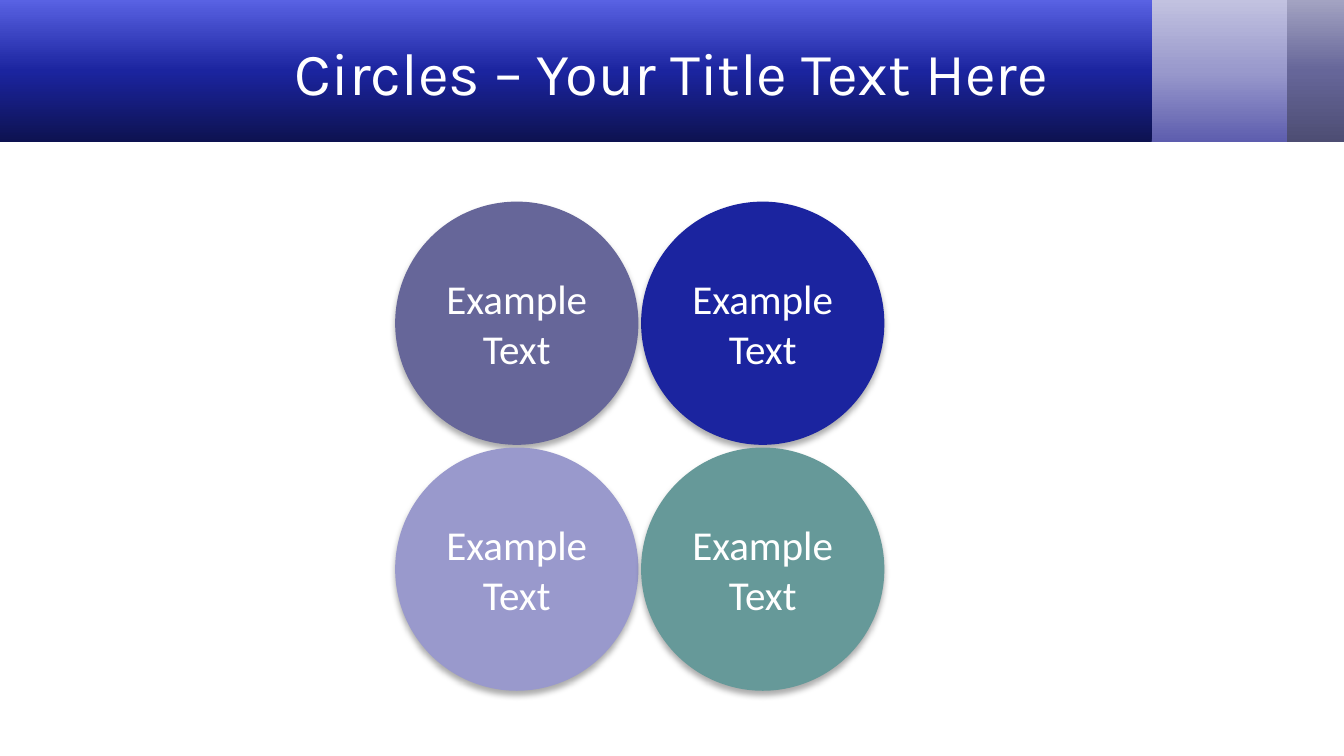
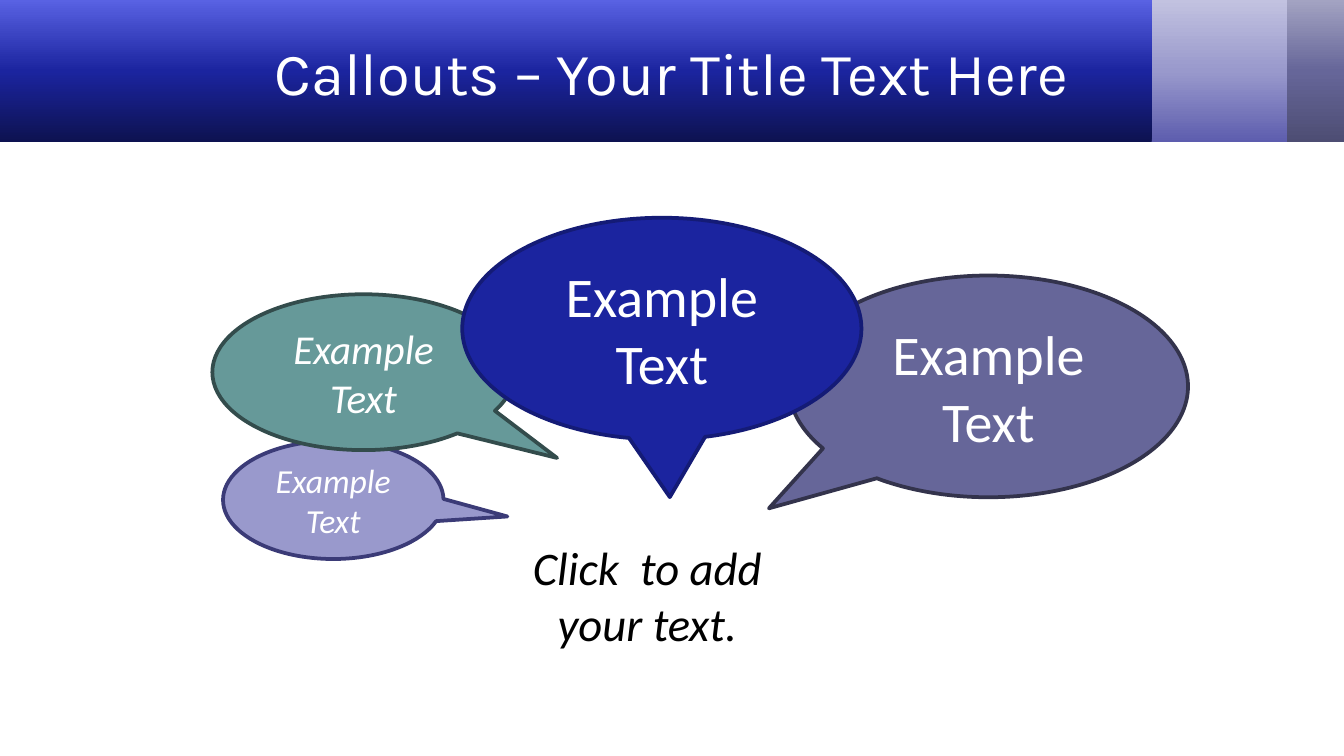
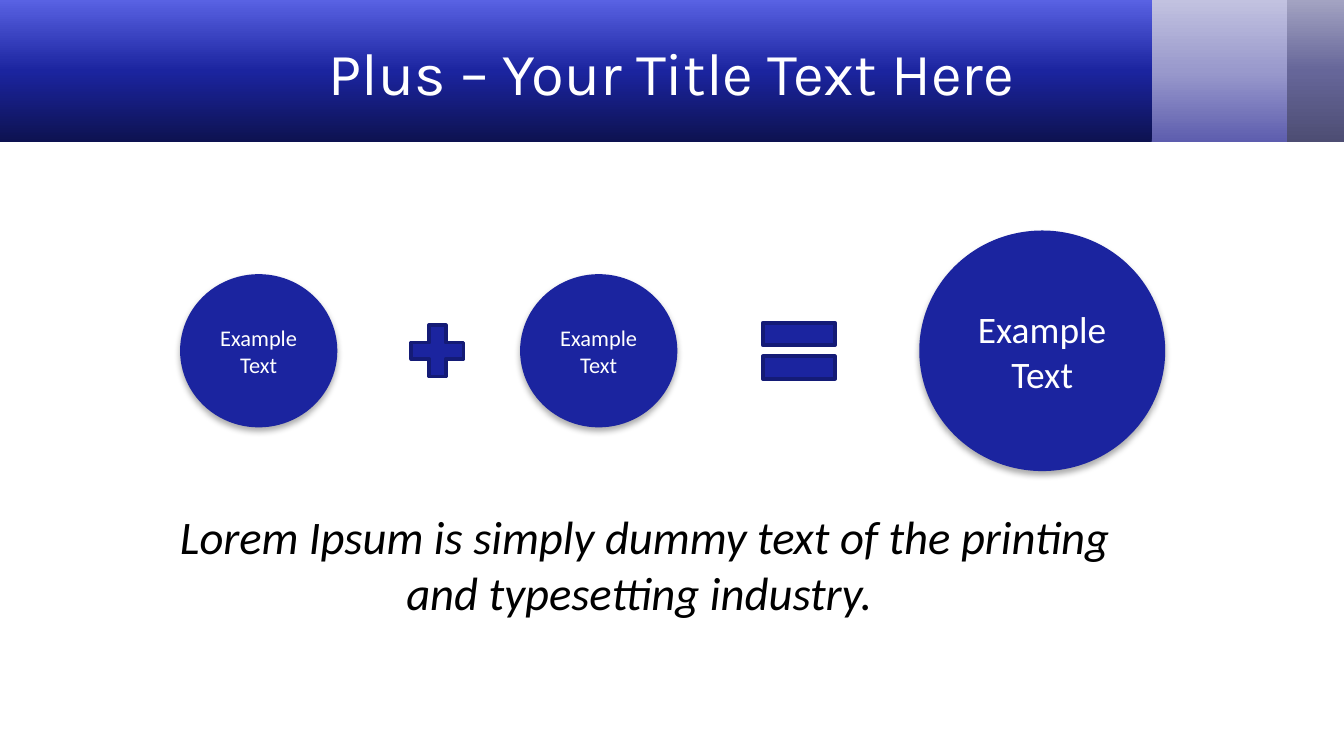
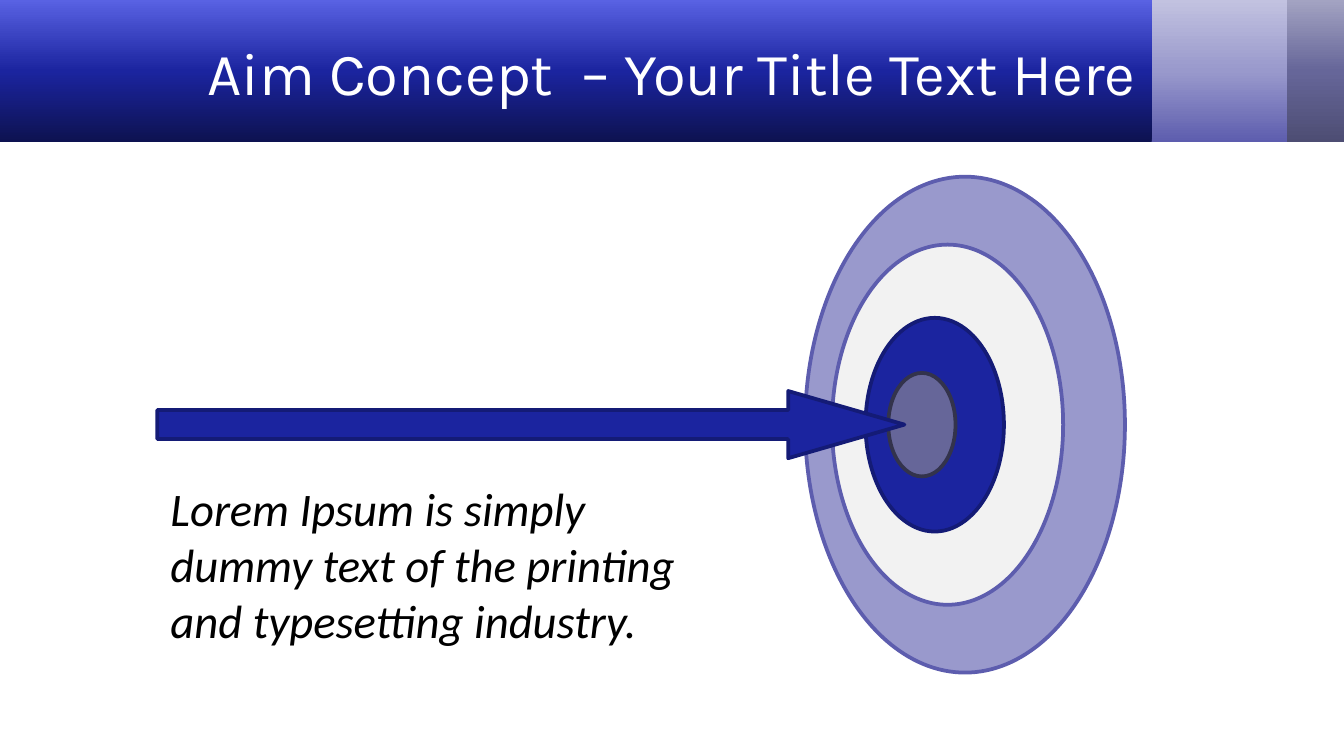
from lxml.etree import SubElement
from pptx import Presentation
from pptx.dml.color import RGBColor
from pptx.enum.shapes import MSO_SHAPE as Preset
from pptx.enum.text import MSO_ANCHOR as Anchor, PP_ALIGN as Align
from pptx.oxml.ns import qn
from pptx.util import Inches, Pt

# Shared palette: fill colours and their darker outlines
BLUE, SLATE, LILAC, TEAL = "1B249F", "666699", "9999CC", "669999"
WHITE, BLACK, PALE = "FFFFFF", "000000", "F2F2F2"
NAVY, DARK_SLATE, DARK_LILAC = "141B76", "33334C", "3B3B77"
DARK_TEAL, VIOLET = "334C4C", "5D5DAE"

# Header bands: left, width, gradient from bottom to top
BAND_HEIGHT = 1.06
BANDS = [
    (9.43, 0.57, ("4D4D73", SLATE, "A3A3C2")),
    (8.53, 1.05, (VIOLET, LILAC, "C2C2E0")),
    (0, 8.57, ("0D1250", BLUE, "5962E3")),
]
EXAMPLE = "Example Text"
LOREM = "Lorem Ipsum is simply dummy text of the printing and typesetting industry."


def color(hex_string):
    return RGBColor.from_string(hex_string)


def write_text(shape, text, size=22, font="Calibri", fill=WHITE, italic=False,
               align=Align.CENTER, anchor=Anchor.MIDDLE):
    frame = shape.text_frame
    frame.word_wrap = True
    frame.vertical_anchor = anchor
    paragraph = frame.paragraphs[0]
    paragraph.alignment = align
    run = paragraph.add_run()
    run.text = text
    run.font.name = font
    run.font.size = Pt(size)
    run.font.italic = italic
    run.font.color.rgb = color(fill)


class Deck:
    """Holds the shared style and the slide being built."""

    def __init__(self):
        self.presentation = Presentation()
        # Widescreen, 16 to 9
        self.presentation.slide_width = Inches(10)
        self.presentation.slide_height = Inches(10) * 9 // 16
        self.slide = None

    def new_slide(self, title):
        blank = self.presentation.slide_layouts[6]
        self.slide = self.presentation.slides.add_slide(blank)
        for left, width, colors in BANDS:
            self.band(left, width, colors)
        self.text(title, 0.5, 0.06, 9, 0.94, size=32, font="Karla",
                  fill=WHITE, italic=False, anchor=Anchor.MIDDLE)

    def shape(self, preset, left, top, width, height, fill, line=None, adjust=()):
        shape = self.slide.shapes.add_shape(
            preset, Inches(left), Inches(top), Inches(width), Inches(height))
        shape.shadow.inherit = False
        shape.fill.solid()
        shape.fill.fore_color.rgb = color(fill)
        if line:
            shape.line.color.rgb = color(line)
            shape.line.width = Pt(2)
        else:
            shape.line.fill.background()
        for index, value in enumerate(adjust):
            shape.adjustments[index] = value
        return shape

    def band(self, left, width, colors):
        shape = self.shape(Preset.RECTANGLE, left, 0, width, BAND_HEIGHT, colors[1])
        shape.fill.gradient()
        shape.fill.gradient_angle = 90
        stops = shape._element.spPr.find(".//" + qn("a:gsLst"))
        stops.clear()
        for index, stop_color in enumerate(colors):
            stop = SubElement(stops, qn("a:gs"), pos=str(index * 50000))
            SubElement(stop, qn("a:srgbClr"), val=stop_color)

    def circle(self, left, top, width, height, fill, size):
        shape = self.shape(Preset.OVAL, left, top, width, height, fill)
        effects = shape._element.spPr.find(qn("a:effectLst"))
        shadow = SubElement(effects, qn("a:outerShdw"), blurRad=str(Pt(3.5)),
                            dist=str(Pt(2.2)), dir="5400000", rotWithShape="0")
        shade = SubElement(shadow, qn("a:srgbClr"), val=BLACK)
        SubElement(shade, qn("a:alpha"), val="32000")
        write_text(shape, EXAMPLE, size=size)

    def callout(self, left, top, width, height, fill, line, tip, size, italic):
        shape = self.shape(Preset.OVAL_CALLOUT, left, top, width, height,
                           fill, line, tip)
        write_text(shape, EXAMPLE, size=size, italic=italic)

    def text(self, text, left, top, width, height, **text_format):
        box = self.slide.shapes.add_textbox(
            Inches(left), Inches(top), Inches(width), Inches(height))
        body_format = dict(size=25, fill=BLACK, italic=True, anchor=Anchor.TOP)
        write_text(box, text, **(body_format | text_format))


def circles_slide(deck):
    deck.new_slide("Circles – Your Title Text Here")
    diameter, pitch = 1.81, 1.83
    for row, column, fill in ((0, 1, BLUE), (0, 0, SLATE), (1, 0, LILAC), (1, 1, TEAL)):
        deck.circle(2.94 + column * pitch, 1.5 + row * pitch,
                    diameter, diameter, fill, 22)


def callouts_slide(deck):
    deck.new_slide("Callouts – Your Title Text Here")
    deck.callout(5.87, 2.05, 2.97, 1.65, SLATE, DARK_SLATE, (-0.55, 0.55), 30, False)
    deck.callout(1.66, 3.28, 1.64, 0.88, LILAC, DARK_LILAC, (0.79, 0.14), 18, True)
    deck.callout(1.58, 2.19, 2.25, 1.16, TEAL, DARK_TEAL, (0.64, 0.55), 22, True)
    deck.callout(3.44, 1.62, 2.97, 1.65, BLUE, NAVY, (0.02, 0.76), 30, False)
    deck.text("Click  to add your text.", 3.67, 3.96, 2.29, 0.94)


def plus_slide(deck):
    deck.new_slide("Plus – Your Title Text Here")
    middle = 2.61
    for left, width, height, size in ((1.34, 1.17, 1.14, 12), (3.87, 1.17, 1.14, 12),
                                      (6.84, 1.83, 1.79, 20)):
        deck.circle(left, middle - height / 2, width, height, BLUE, size)
    for preset, left, width, height in ((Preset.MATH_PLUS, 2.99, 0.53, 0.52),
                                        (Preset.MATH_EQUAL, 5.58, 0.73, 0.71)):
        deck.shape(preset, left, middle - height / 2, width, height, BLUE, NAVY)
    deck.text(LOREM + " ", 1.17, 3.73, 7.25, 0.94)


def aim_slide(deck):
    deck.new_slide("Aim Concept  – Your Title Text Here")
    middle = 3.16
    # Target rings, outermost first
    for left, width, height, fill, line in (
            (5.99, 2.38, 3.69, LILAC, VIOLET), (6.19, 1.72, 2.68, PALE, VIOLET),
            (6.44, 1.03, 1.59, BLUE, NAVY), (6.61, 0.5, 0.77, SLATE, DARK_SLATE)):
        deck.shape(Preset.OVAL, left, middle - height / 2, width, height, fill, line)
    deck.shape(Preset.RIGHT_ARROW, 1.17, middle - 0.25, 5.56, 0.5,
               BLUE, NAVY, (0.43, 1.73))
    deck.text(LOREM, 1.17, 3.52, 4.25, 1.36, align=Align.LEFT)


def main():
    deck = Deck()
    for build_slide in (circles_slide, callouts_slide, plus_slide, aim_slide):
        build_slide(deck)
    deck.presentation.save("out.pptx")


if __name__ == "__main__":
    main()
